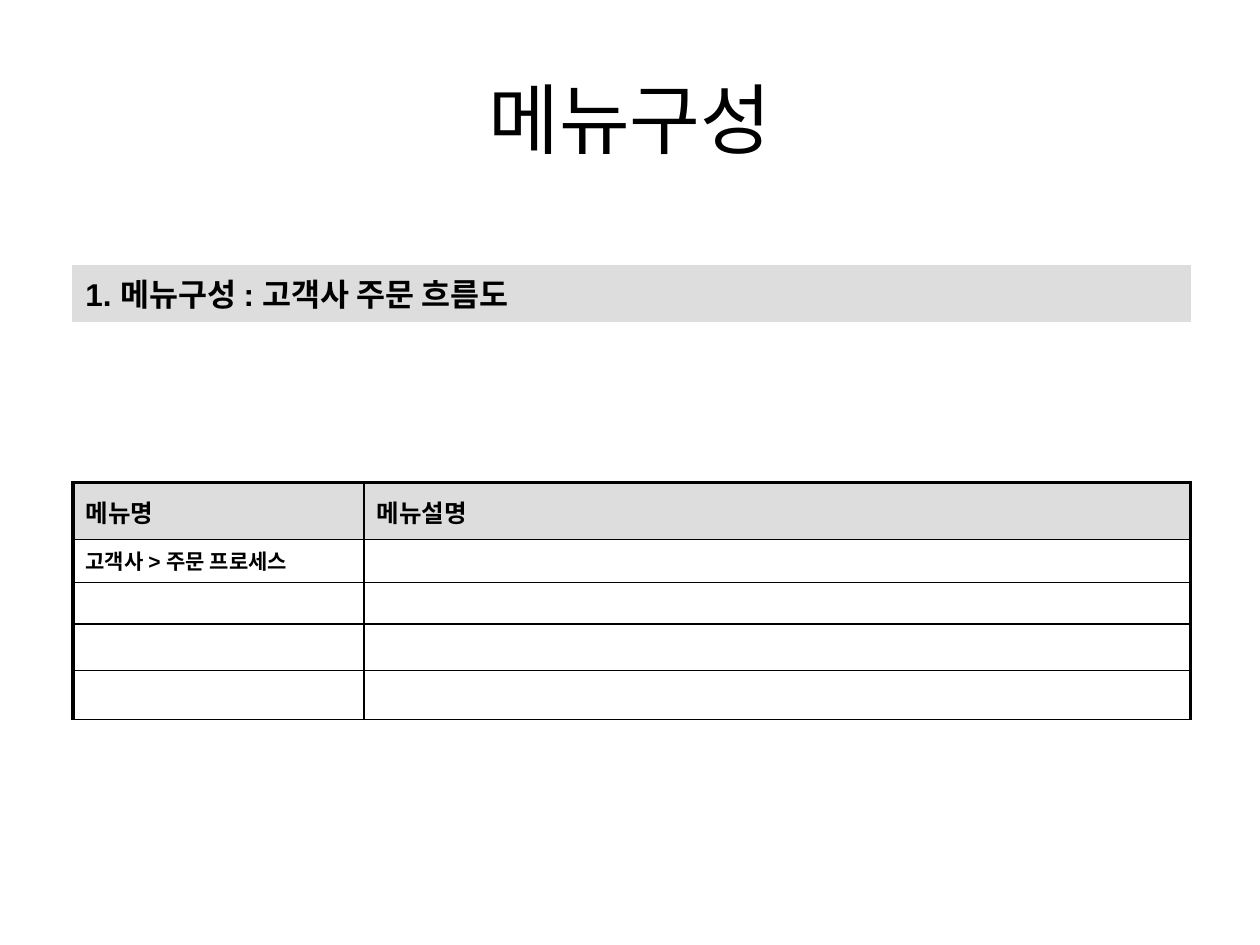
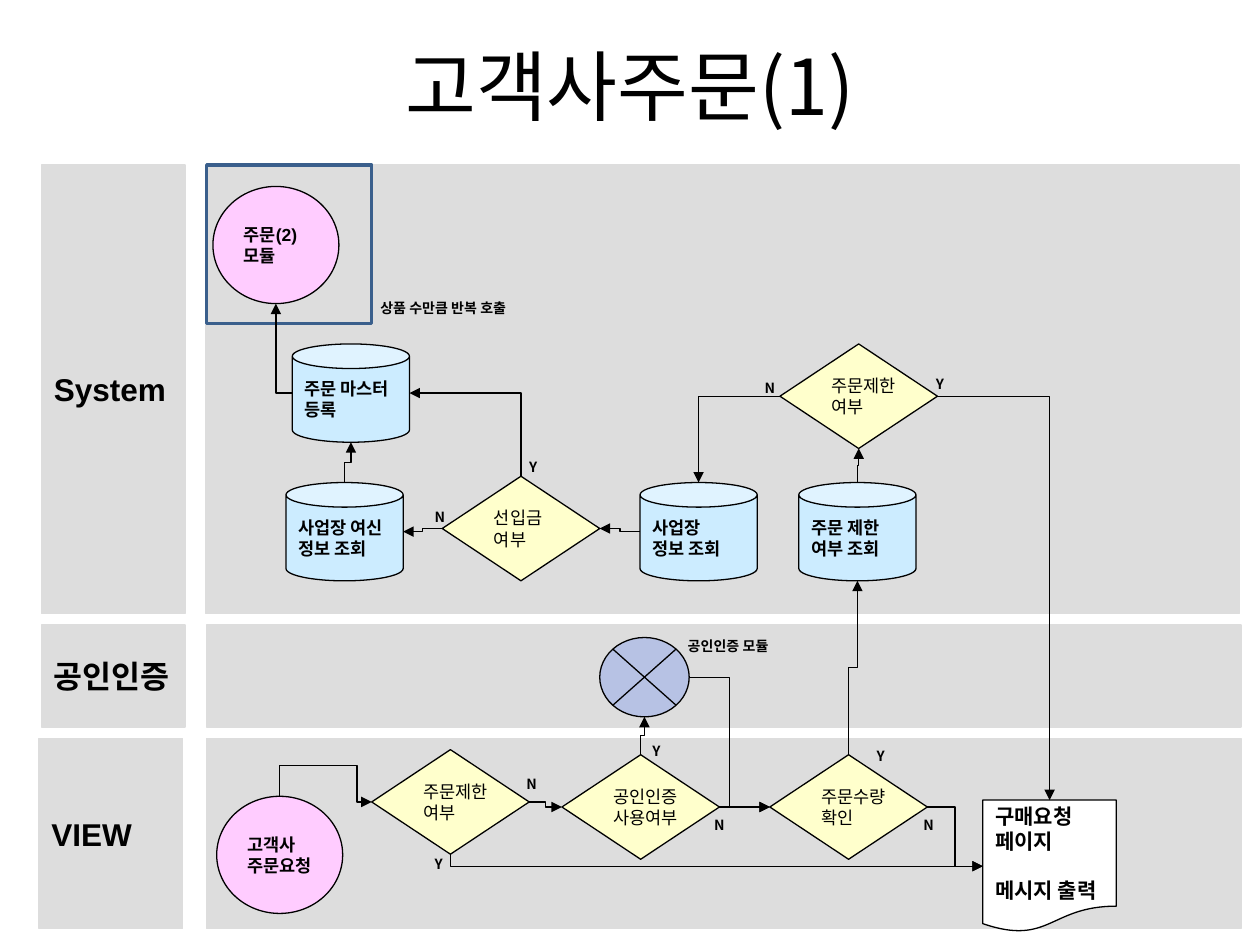
from lxml import etree
from pptx import Presentation
from pptx.dml.color import RGBColor
from pptx.enum import shapes, text
from pptx.oxml import ns
from pptx.util import Inches, Pt

BLACK = RGBColor(0x00, 0x00, 0x00)
WHITE = RGBColor(0xFF, 0xFF, 0xFF)
GREY = RGBColor(0xDD, 0xDD, 0xDD)
PINK = RGBColor(0xFF, 0xCC, 0xFF)
SKY = RGBColor(0xCC, 0xEC, 0xFF)
CREAM = RGBColor(0xFF, 0xFF, 0xCC)
BLUE = RGBColor(0x33, 0x66, 0xFF)
FRAME_BLUE = RGBColor(0x3A, 0x5F, 0x8C)

LATIN = "Arial"
KOREAN = "Noto Sans CJK KR"
KIND = shapes.MSO_SHAPE

# Connection site numbers of each outline
FOUR_SITES = {"top": 0, "left": 1, "bottom": 2, "right": 3}
EIGHT_SITES = {"top": 0, "left": 2, "bottom": 4, "right": 6}
CAN_SITES = {"top": 1, "left": 2, "bottom": 3, "right": 4}
SITES = {KIND.OVAL: EIGHT_SITES, KIND.FLOWCHART_SUMMING_JUNCTION: EIGHT_SITES,
         KIND.CAN: CAN_SITES}


def add_xml(parent, tag, **attributes):
    return etree.SubElement(parent, ns.qn(tag), attributes)


def side_point(shape, side):
    across = {"left": 0, "right": 1}.get(side, 0.5)
    down = {"top": 0, "bottom": 1}.get(side, 0.5)
    return shape.left + shape.width * across, shape.top + shape.height * down


class Deck:
    """Holds the shared style and the slide being filled."""

    def __init__(self):
        self.presentation = Presentation()
        self.presentation.slide_width = Inches(10)
        self.presentation.slide_height = Inches(7.5)
        self.slide = None

    def new_slide(self, title, top):
        layout = self.presentation.slide_layouts[5]
        self.slide = self.presentation.slides.add_slide(layout)
        shape = self.slide.shapes.title
        shape.left, shape.top = Inches(0.5), Inches(top)
        shape.width, shape.height = Inches(9), Inches(1.25)
        self.set_words(shape.text_frame, title, 44, KOREAN, False)
        shape.text_frame.vertical_anchor = text.MSO_ANCHOR.MIDDLE
        shape.text_frame.paragraphs[0].alignment = text.PP_ALIGN.CENTER

    def set_words(self, frame, words, size, font=LATIN, bold=True):
        frame.text = words
        for paragraph in frame.paragraphs:
            paragraph.alignment = text.PP_ALIGN.LEFT
            for run in paragraph.runs:
                run.font.name = font
                run.font.size = Pt(size)
                run.font.bold = bold
                run.font.color.rgb = BLACK

    def shape(self, kind, box, fill, words="", size=10, font=LATIN, bold=True,
              line=BLACK, line_width=0.75):
        shape = self.slide.shapes.add_shape(kind, *map(Inches, box))
        shape.shadow.inherit = False
        if fill is None:
            shape.fill.background()
        else:
            shape.fill.solid()
            shape.fill.fore_color.rgb = fill
        shape.line.color.rgb = line
        shape.line.width = Pt(line_width)
        if words:
            shape.text_frame.word_wrap = False
            shape.text_frame.vertical_anchor = text.MSO_ANCHOR.MIDDLE
            self.set_words(shape.text_frame, words, size, font, bold)
        return shape

    def band(self, box, words=""):
        return self.shape(KIND.RECTANGLE, box, GREY, words, 18, line=GREY)

    def event(self, left, top, words):
        return self.shape(KIND.OVAL, (left, top, 1, 0.93), PINK, words)

    def store(self, left, top, words):
        return self.shape(KIND.CAN, (left, top, 0.93, 0.78), SKY, words)

    def decision(self, left, top, words):
        return self.shape(KIND.DIAMOND, (left, top, 1.25, 0.83), CREAM, words,
                          font=KOREAN, bold=False)

    def label(self, left, top, words, width=0.28):
        box = self.slide.shapes.add_textbox(
            Inches(left), Inches(top), Inches(width), Inches(0.24))
        box.text_frame.word_wrap = False
        self.set_words(box.text_frame, words, 8, KOREAN)

    def arrow(self, source, source_side, target, target_side, detour=None):
        """Elbow arrow between two sides; detour gives bend ratios."""
        begin, end = side_point(source, source_side), side_point(target, target_side)
        vertical = source_side in ("top", "bottom")
        turn = 0
        if vertical:
            # Lay the frame on its side around the midpoint, then rotate it back
            middle_x, middle_y = (begin[0] + end[0]) / 2, (begin[1] + end[1]) / 2
            sign = 1 if (end[0] - begin[0]) * (end[1] - begin[1]) < 0 else -1
            turn = 90 if sign == 1 else 270
            begin, end = [(middle_x + sign * (y - middle_y),
                           middle_y - sign * (x - middle_x)) for x, y in (begin, end)]
        connector = self.slide.shapes.add_connector(
            shapes.MSO_CONNECTOR.ELBOW, *[int(value) for value in begin + end])
        connector.line.color.rgb = BLACK
        connector.line.width = Pt(0.75)
        properties = connector._element.spPr
        add_xml(properties.find(ns.qn("a:ln")), "a:tailEnd", type="triangle")
        add_xml(properties, "a:effectLst")
        if turn:
            properties.find(ns.qn("a:xfrm")).set("rot", str(turn * 60000))

        # Number of bends
        geometry = properties.find(ns.qn("a:prstGeom"))
        if detour:
            geometry.set("prst", "bentConnector4")
            guides = geometry.find(ns.qn("a:avLst"))
            for number, ratio in enumerate(detour, 1):
                add_xml(guides, "a:gd", name=f"adj{number}",
                        fmla=f"val {round(ratio * 100000)}")
        elif vertical != (target_side in ("top", "bottom")):
            geometry.set("prst", "bentConnector2")

        # Glue both ends
        glue = connector._element.find(".//" + ns.qn("p:cNvCxnSpPr"))
        for tag, shape, side in (("a:stCxn", source, source_side),
                                 ("a:endCxn", target, target_side)):
            site = SITES.get(shape.auto_shape_type, FOUR_SITES)[side]
            add_xml(glue, tag, id=str(shape.shape_id), idx=str(site))

    def table(self, left, top, widths, heights, rows):
        frame = self.slide.shapes.add_table(
            len(heights), len(widths), Inches(left), Inches(top),
            Inches(sum(widths)), Inches(sum(heights)))
        table = frame.table
        table.first_row = table.horz_banding = False
        for column, width in zip(table.columns, widths):
            column.width = Inches(width)
        for row, height in zip(table.rows, heights):
            row.height = Inches(height)
        for r in range(len(heights)):
            for c in range(len(widths)):
                cell = table.cell(r, c)
                words = rows.get((r, c))
                if words:
                    self.set_words(cell.text_frame, words, 12 if r else 14)
                else:
                    add_xml(cell.text_frame.paragraphs[0]._p, "a:endParaRPr", sz="1200")
                self.borders(cell, L=2.25 if c == 0 else 1,
                             R=2.25 if c == len(widths) - 1 else 1,
                             T=1 if r else 2.25, B=1)
                if r:
                    cell.fill.background()
                else:
                    cell.margin_top = Inches(0.09)
                    cell.fill.solid()
                    cell.fill.fore_color.rgb = GREY

    def borders(self, cell, **widths):
        properties = cell._tc.get_or_add_tcPr()
        for side, width in widths.items():
            line = add_xml(properties, f"a:ln{side}", w=str(int(Pt(width))))
            add_xml(add_xml(line, "a:solidFill"), "a:srgbClr", val=str(BLACK))


def menu_slide(deck):
    deck.new_slide("메뉴구성", 0.31)
    deck.band((0.58, 2.11, 8.87, 0.44), "1. 메뉴구성 : 고객사 주문 흐름도")
    deck.table(0.58, 3.83, (2.31, 6.56), (0.45, 0.34, 0.33, 0.37, 0.39),
               {(0, 0): "메뉴명", (0, 1): "메뉴설명", (1, 0): "고객사 > 주문 프로세스"})


def order_slide(deck):
    deck.new_slide("고객사주문(1)", 0.05)

    # Swimlanes: heading and body
    for words, left, body_left, top, height in (
            ("System", 0.33, 1.63, 1.31, 3.56),
            ("공인인증", 0.33, 1.64, 4.96, 0.81),
            ("VIEW", 0.31, 1.64, 5.86, 1.51)):
        deck.band((left, top, 1.14, height), words)
        deck.band((body_left, top, 8.21, height))

    # View lane
    request = deck.event(1.72, 6.32, "고객사\n주문요청")
    view_limit = deck.decision(2.95, 5.95, "주문제한\n여부")
    use_certificate = deck.decision(4.46, 5.99, "공인인증\n사용여부")
    quantity = deck.decision(6.11, 5.99, "주문수량\n확인")
    message = deck.shape(KIND.FLOWCHART_DOCUMENT, (7.8, 6.35, 1.06, 1.05), WHITE,
                         "구매요청\n페이지\n메시지 출력", 12)
    message.text_frame.paragraphs[2].space_before = Pt(14)

    # Certificate lane
    certificate = deck.shape(KIND.FLOWCHART_SUMMING_JUNCTION,
                             (4.76, 5.06, 0.71, 0.63), BLUE)
    tint = certificate._element.spPr.find(ns.qn("a:solidFill"))[0]
    add_xml(tint, "a:alpha", val="22000")

    # System lane
    limit_query = deck.store(6.34, 3.83, "주문 제한\n여부 조회")
    system_limit = deck.decision(6.19, 2.73, "주문제한\n여부")
    site_query = deck.store(5.08, 3.83, "사업장\n정보 조회")
    prepaid = deck.decision(3.51, 3.78, "선입금\n여부")
    credit_query = deck.store(2.27, 3.83, "사업장 여신\n정보 조회")
    master = deck.store(2.32, 2.73, "주문 마스터\n등록")
    module = deck.event(1.69, 1.48, "주문(2)\n모듈")
    deck.shape(KIND.RECTANGLE, (1.64, 1.31, 1.31, 1.26), None,
               line=FRAME_BLUE, line_width=2)

    # Flow
    deck.arrow(request, "top", view_limit, "left", detour=(-5.5, 0.84))
    for source, source_side, target, target_side in (
            (view_limit, "right", use_certificate, "left"),
            (view_limit, "bottom", message, "left"),
            (use_certificate, "right", quantity, "left"),
            (use_certificate, "top", certificate, "bottom"),
            (certificate, "right", quantity, "left"),
            (quantity, "right", message, "left"),
            (quantity, "top", limit_query, "bottom"),
            (limit_query, "top", system_limit, "bottom"),
            (system_limit, "right", message, "top"),
            (system_limit, "left", site_query, "top"),
            (site_query, "left", prepaid, "right"),
            (prepaid, "left", credit_query, "right"),
            (prepaid, "top", master, "right"),
            (credit_query, "top", master, "bottom"),
            (master, "left", module, "bottom")):
        deck.arrow(source, source_side, target, target_side)

    # Branch labels and notes
    for words, places in (
            ("Y", ((3.35, 6.74), (5.08, 5.84), (6.86, 5.88), (7.33, 2.93), (4.1, 3.59))),
            ("N", ((4.08, 6.11), (5.57, 6.43), (7.23, 6.43), (5.97, 2.96), (3.35, 3.99)))):
        for left, top in places:
            deck.label(left, top, words)
    deck.label(5.36, 5.01, "공인인증 모듈", 0.92)
    deck.label(2.92, 2.33, "상품 수만큼 반복 호출", 1.33)


def main():
    deck = Deck()
    menu_slide(deck)
    order_slide(deck)
    deck.presentation.save("out.pptx")


if __name__ == "__main__":
    main()
